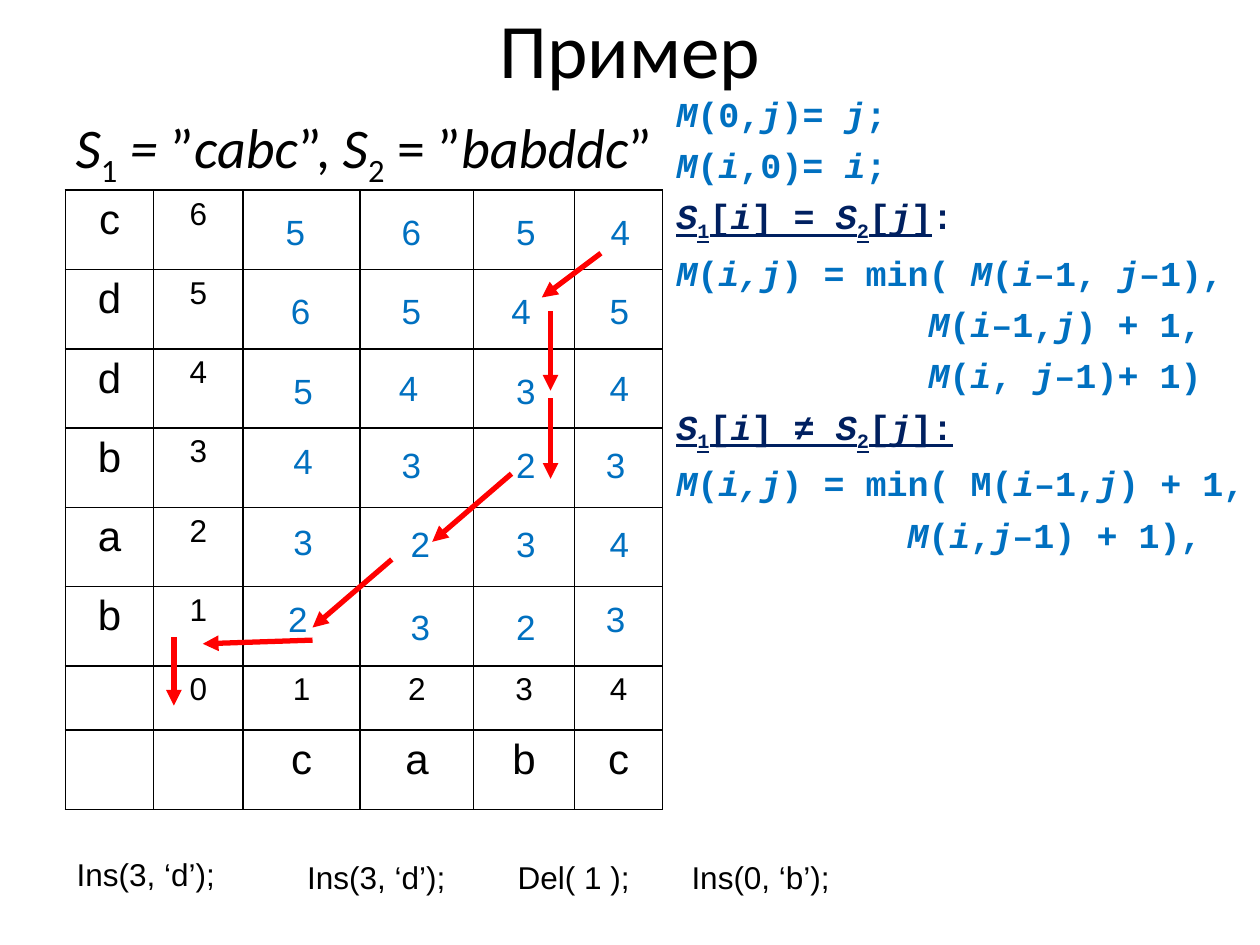
from dataclasses import dataclass

from lxml import etree
from pptx import Presentation
from pptx.dml.color import RGBColor
from pptx.enum.shapes import MSO_CONNECTOR
from pptx.enum.text import MSO_ANCHOR, PP_ALIGN
from pptx.oxml.ns import qn
from pptx.util import Pt

STRAIGHT = MSO_CONNECTOR.STRAIGHT
MIDDLE = MSO_ANCHOR.MIDDLE
LEFT, CENTER = PP_ALIGN.LEFT, PP_ALIGN.CENTER


@dataclass(frozen=True)
class Theme:
    black: str = "000000"
    blue: str = "0070C0"
    navy: str = "002060"
    red: str = "FF0000"
    heading_font: str = "Calibri"
    body_font: str = "Arial"
    code_font: str = "Courier New"
    title_size: float = 44
    subtitle_size: float = 32
    letter_size: float = 24
    value_size: float = 20
    small_size: float = 18


THEME = Theme()

COLUMN_WIDTHS = [50.4, 51.1, 67, 64.8, 57.6, 50.4]
ROW_HEIGHTS = [45.3] * 6 + [36.7, 45.3]
ROW_WORD, COLUMN_WORD = "cddbab", "cabc"

DISTANCES = [
    [("5", 143.3, 116.6), ("6", 209.5, 116.6), ("5", 275, 116.6), ("4", 329, 116.6)],
    [("6", 146.2, 162), ("5", 209.5, 162), ("4", 272.2, 162), ("5", 328.3, 162)],
    [("5", 147.6, 207.4), ("4", 208, 206), ("3", 275, 207.4), ("4", 328.3, 206)],
    [("4", 147.6, 247.7), ("3", 209.5, 249.8), ("2", 275, 249.8), ("3", 326.2, 249.8)],
    [("3", 147.6, 293.8), ("2", 214.6, 295.2), ("3", 275, 295.2), ("4", 328.3, 295.2)],
    [("2", 144.7, 337.7), ("3", 214.6, 342.7), ("2", 275, 342.7), ("3", 326.2, 337.7)],
]

PATH_ARROWS = [
    (343.4, 144.7, 309.6, 170),
    (314.6, 177.8, 314.6, 223.2),
    (314.6, 227.5, 314.6, 273.6),
    (292.3, 270.7, 247, 309.6),
    (223.9, 319.7, 178.6, 358.6),
    (178.6, 365.8, 115.9, 367.9),
    (99.4, 364.3, 99.4, 403.2),
]

OPERATIONS = [
    ("Ins(3, ‘d’);", 36.7, 485.3, 124.6),
    ("Ins(3, ‘d’);", 168.5, 486.7, 100.8),
    ("Del( 1 );", 288.7, 486.7, 90.7),
    ("Ins(0, ‘b’);", 388.1, 486.7, 108),
]

CODE_CHARACTER = 12
FORMULAS = [
    (0, "*M*(0,*j*)= *j*;"),
    (0, "*M*(*i*,0)= *i*;"),
    (0, "*S*~1~[*i*] = *S*~2~[*j*]", ":"),
    (0, "*M*(*i,j*) = min( *M*(*i*–1, *j*–1),"),
    (12, "*M*(*i*–1,*j*) + 1,"),
    (12, "*M*(*i*, *j*–1)+ 1)"),
    (0, "*S*~1~[*i*] ≠ *S*~2~[*j*]:", ""),
    (0, "*M*(*i,j*) = min( M(*i*–1,*j*) + 1,"),
    (11, "*M*(*i*,*j*–1) + 1),"),
]


def write_text(paragraph, text, *, size, font=THEME.body_font, color=THEME.black,
               bold=False, underline=False, align=LEFT):
    """Asterisks enclose italics and tildes enclose subscripts."""
    paragraph.alignment = align
    for italic_index, section in enumerate(text.split("*")):
        for subscript_index, piece in enumerate(section.split("~")):
            if not piece:
                continue
            run = paragraph.add_run()
            run.text = piece
            run.font.name = font
            run.font.size = Pt(size)
            run.font.color.rgb = RGBColor.from_string(color)
            run.font.bold = bold
            run.font.underline = underline
            run.font.italic = italic_index % 2 == 1
            if subscript_index % 2:
                run.font._element.set("baseline", "-25000")


def place(shape, left, top, width, height):
    shape.left, shape.top = Pt(left), Pt(top)
    shape.width, shape.height = Pt(width), Pt(height)


def set_indent(paragraph, left):
    properties = paragraph._p.get_or_add_pPr()
    properties.set("marL", str(Pt(left)))
    properties.set("indent", "0")
    return properties


def add_text_box(slide, left, top, width, height):
    box = slide.shapes.add_textbox(Pt(left), Pt(top), Pt(width), Pt(height))
    box.text_frame.word_wrap = True
    return box.text_frame


def add_label(slide, text, left, top, width, height, **text_format):
    frame = add_text_box(slide, left, top, width, height)
    write_text(frame.paragraphs[0], text, **text_format)


def fill_placeholders(slide):
    title, body = slide.placeholders
    place(title, 36, 9.4, 648, 36)
    title.text_frame.vertical_anchor = MIDDLE
    write_text(title.text_frame.paragraphs[0], "Пример", size=THEME.title_size,
               font=THEME.heading_font, align=CENTER)
    place(body, 36, 55.4, 648, 44.6)
    body.text_frame.margin_top = Pt(9)
    paragraph = body.text_frame.paragraphs[0]
    properties = set_indent(paragraph, 0)
    etree.SubElement(properties, qn("a:buNone"))
    paragraph.space_before = Pt(0)
    write_text(paragraph, "*S*~1~* = *”*cabc*”, *S*~2~ = ”*babddc*”",
               size=THEME.subtitle_size, font=THEME.heading_font)


def outline_cell(cell):
    properties = cell._tc.get_or_add_tcPr()
    for side in ("a:lnL", "a:lnR", "a:lnT", "a:lnB"):
        border = etree.SubElement(properties, qn(side), w=str(Pt(1)))
        fill = etree.SubElement(border, qn("a:solidFill"))
        etree.SubElement(fill, qn("a:srgbClr"), val=THEME.black)
    cell.fill.background()


def add_distance_table(slide):
    letters, small = THEME.letter_size, THEME.small_size
    last = len(ROW_WORD)
    contents = {(last, 1): ("0", small)}
    for row, letter in enumerate(ROW_WORD):
        contents[row, 0] = (letter, letters)
        contents[row, 1] = (str(last - row), small)
    for number, letter in enumerate(COLUMN_WORD, 1):
        contents[last, number + 1] = (str(number), small)
        contents[last + 1, number + 1] = (letter, letters)

    frame = slide.shapes.add_table(len(ROW_HEIGHTS), len(COLUMN_WIDTHS), Pt(37.4), Pt(108.7),
                                   Pt(sum(COLUMN_WIDTHS)), Pt(sum(ROW_HEIGHTS)))
    table = frame.table
    table.first_row = table.horz_banding = False
    for column, width in zip(table.columns, COLUMN_WIDTHS):
        column.width = Pt(width)
    for row_index, height in enumerate(ROW_HEIGHTS):
        table.rows[row_index].height = Pt(height)
        for column_index in range(len(COLUMN_WIDTHS)):
            cell = table.cell(row_index, column_index)
            outline_cell(cell)
            if (row_index, column_index) in contents:
                text, size = contents[row_index, column_index]
                write_text(cell.text_frame.paragraphs[0], text, size=size, align=CENTER)


def add_formulas(slide):
    frame = add_text_box(slide, 379.4, 45.4, 340.6, 264.2)
    frame.margin_top = Pt(7.6)
    code = {"size": THEME.value_size, "font": THEME.code_font, "bold": True}
    for index, (indent, text, *ending) in enumerate(FORMULAS):
        paragraph = frame.add_paragraph() if index else frame.paragraphs[0]
        set_indent(paragraph, indent * CODE_CHARACTER)
        paragraph.space_before = Pt(5.2 if index else 0)
        color = THEME.navy if ending else THEME.blue
        write_text(paragraph, text, color=color, underline=bool(ending), **code)
        for plain in ending:
            write_text(paragraph, plain, color=color, **code)


def add_arrow(slide, *ends):
    arrow = slide.shapes.add_connector(STRAIGHT, *map(Pt, ends))
    arrow.line.color.rgb = RGBColor.from_string(THEME.red)
    arrow.line.width = Pt(3)
    etree.SubElement(arrow.line._get_or_add_ln(), qn("a:tailEnd"), type="triangle")
    etree.SubElement(arrow._element.spPr, qn("a:effectLst"))


def main():
    presentation = Presentation()
    presentation.slide_width, presentation.slide_height = Pt(720), Pt(540)
    slide = presentation.slides.add_slide(presentation.slide_layouts[1])
    fill_placeholders(slide)
    add_distance_table(slide)
    add_formulas(slide)
    for row in DISTANCES:
        for text, left, top in row:
            add_label(slide, text, left, top, 51.1, 31.5, size=THEME.value_size,
                      color=THEME.blue, align=CENTER)
    for ends in PATH_ARROWS:
        add_arrow(slide, *ends)
    for text, left, top, width in OPERATIONS:
        add_label(slide, text, left, top, width, 29, size=THEME.small_size)
    presentation.save("out.pptx")


if __name__ == "__main__":
    main()
